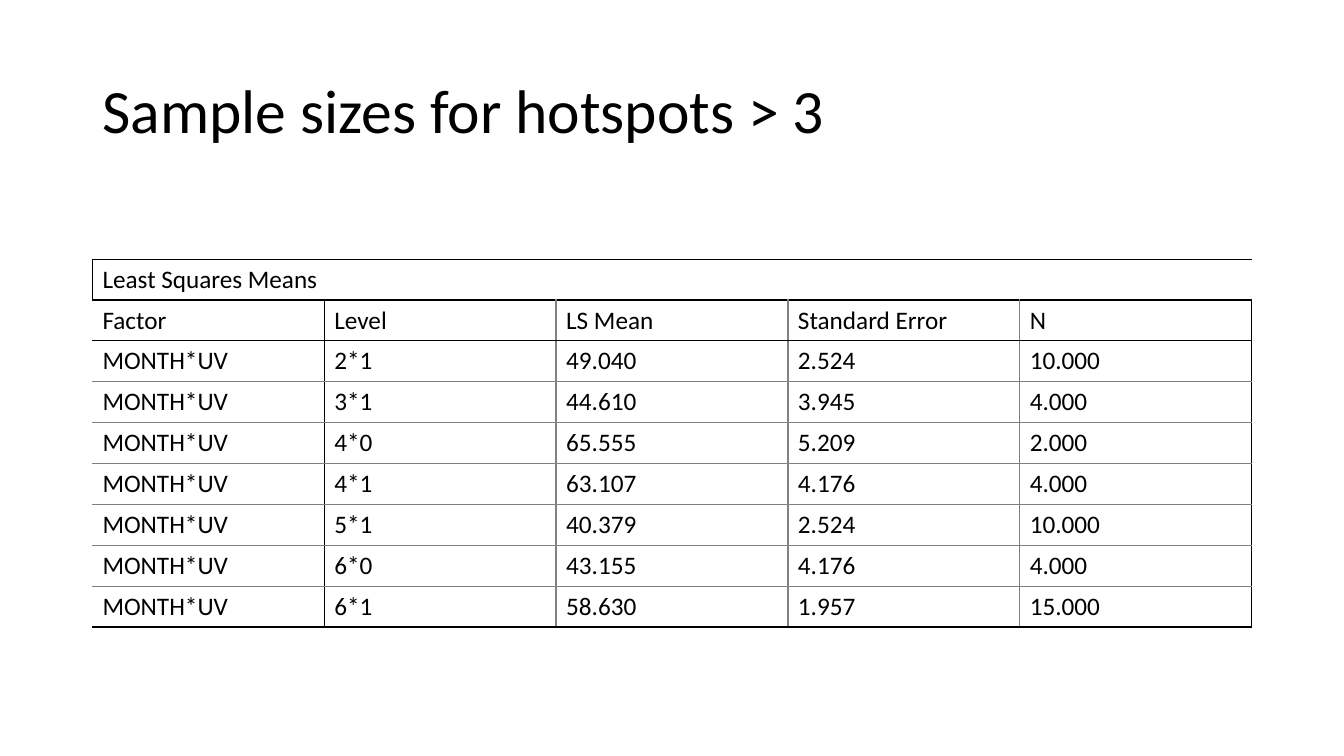
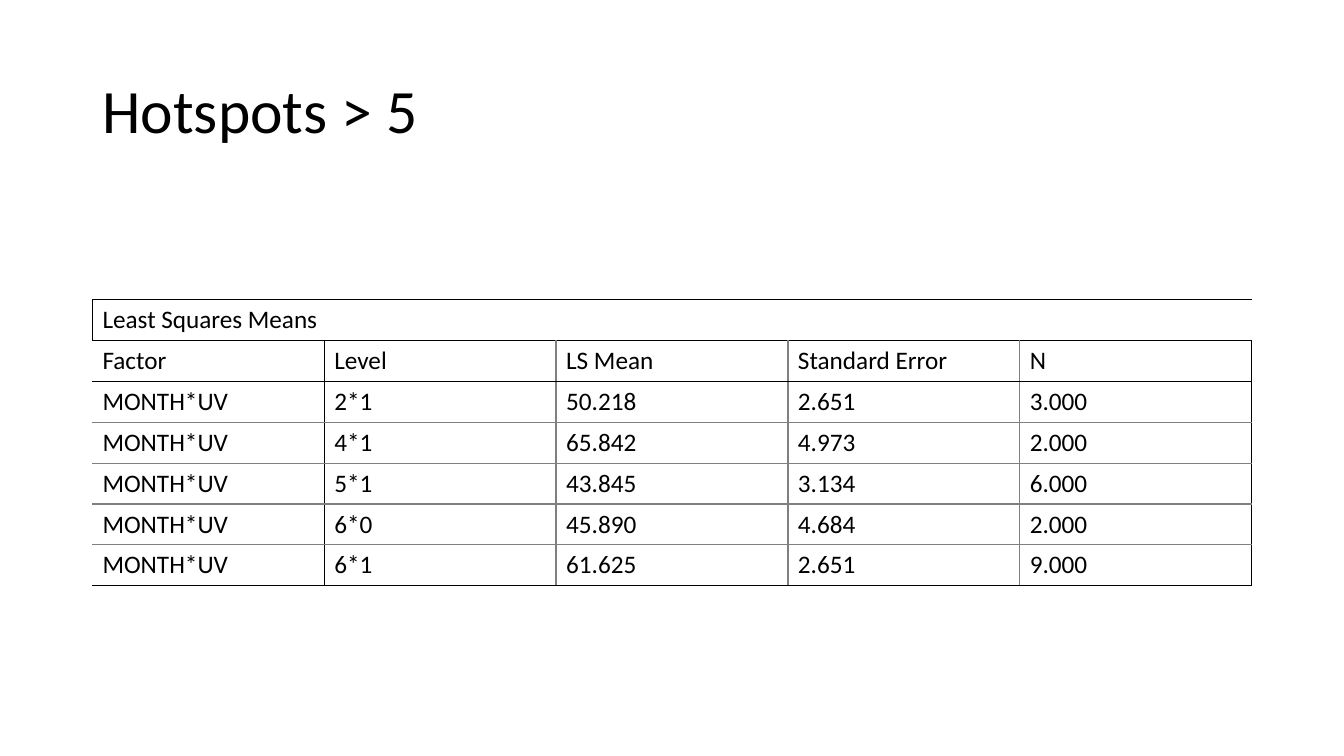
import dataclasses

import lxml.etree
import pptx
import pptx.dml.color
import pptx.enum.text
import pptx.oxml.ns
import pptx.util

Cm = pptx.util.Cm
qn = pptx.oxml.ns.qn


@dataclasses.dataclass(frozen=True)
class Theme:
    """Colours, type sizes and table styling shared by the slides."""
    font: str = "Calibri"
    ink: str = "000000"
    grid: str = "808080"
    title_size: int = 44
    table_size: int = 18
    border_width: int = 1
    plain_table: str = "{2D5ABB26-0587-4C30-8999-92F81FD0307C}"


THEME = Theme()
LEFT, CONTENT_WIDTH = 2.33, 29.21
TABLE_CENTRE, ROW_HEIGHT = 11.12, 1.02
CAPTION = "Least Squares Means"
HEADINGS = ("Factor", "Level", "LS Mean", "Standard Error", "N")
FACTOR = "MONTH*UV"


def write(frame, text, size, spacing=None):
    """Write one left-aligned, vertically centred paragraph into a text frame."""
    frame.vertical_anchor = pptx.enum.text.MSO_ANCHOR.MIDDLE
    paragraph = frame.paragraphs[0]
    paragraph.alignment = pptx.enum.text.PP_ALIGN.LEFT
    paragraph.line_spacing = spacing
    run = paragraph.add_run()
    run.text = text
    run.font.name = THEME.font
    run.font.size = pptx.util.Pt(size)
    run.font.color.rgb = pptx.dml.color.RGBColor.from_string(THEME.ink)


def caption_borders(column, last_column):
    """Return the border colours of a caption cell, open towards the headings."""
    sides = {"T": THEME.ink}
    if column == 0:
        sides.update(L=THEME.ink, B=THEME.ink)
    if column == last_column:
        sides["R"] = THEME.ink
    return sides


def grid_borders(row, column, last_row, last_column):
    """Return the border colours of a heading or data cell."""
    sides = {
        "R": THEME.ink if column in (0, last_column) else THEME.grid,
        "B": THEME.ink if row in (1, last_row) else THEME.grid,
    }
    if column > 0:
        sides["L"] = THEME.ink if column == 1 else THEME.grid
    if row > 1:
        sides["T"] = THEME.ink if row == 2 else THEME.grid
    return sides


def draw_borders(cell, sides):
    """Draw the given sides of a cell, in the order the schema asks for."""
    properties = cell._tc.get_or_add_tcPr()
    drawn = [side for side in "LRTB" if side in sides]
    for position, side in enumerate(drawn):
        line = lxml.etree.Element(qn(f"a:ln{side}"))
        line.set("w", str(pptx.util.Pt(THEME.border_width)))
        solid = lxml.etree.SubElement(line, qn("a:solidFill"))
        lxml.etree.SubElement(solid, qn("a:srgbClr")).set("val", sides[side])
        properties.insert(position, line)


class Deck:
    """Holds the presentation and the slide being built."""

    def __init__(self):
        """Start a widescreen presentation."""
        self.presentation = pptx.Presentation()
        self.presentation.slide_width = Cm(33.87)
        self.presentation.slide_height = Cm(19.05)
        self.slide = None

    def add_slide(self, heading):
        """Add a slide and fill its title placeholder."""
        layout = self.presentation.slide_layouts.get_by_name("Title Only")
        self.slide = self.presentation.slides.add_slide(layout)
        title = self.slide.shapes.title
        title.left, title.top = Cm(LEFT), Cm(1.01)
        title.width, title.height = Cm(CONTENT_WIDTH), Cm(3.68)
        title.text_frame.auto_size = pptx.enum.text.MSO_AUTO_SIZE.NONE
        write(title.text_frame, heading, THEME.title_size, spacing=0.9)

    def add_means_table(self, means):
        """Add the captioned table of means, centred on a fixed height."""
        rows = [(CAPTION,), HEADINGS] + [(FACTOR, *mean) for mean in means]
        last_row, last_column = len(rows) - 1, len(HEADINGS) - 1
        height = len(rows) * ROW_HEIGHT
        table = self.slide.shapes.add_table(
            len(rows), len(HEADINGS), Cm(LEFT), Cm(TABLE_CENTRE - height / 2),
            Cm(CONTENT_WIDTH), Cm(height)).table
        table.first_row = table.horz_banding = False
        table._tbl.tblPr.find(qn("a:tableStyleId")).text = THEME.plain_table
        table.cell(0, 0).merge(table.cell(0, last_column))
        for row, values in enumerate(rows):
            for column in range(len(HEADINGS)):
                cell = table.cell(row, column)
                cell.fill.background()
                if row == 0:
                    sides = caption_borders(column, last_column)
                else:
                    sides = grid_borders(row, column, last_row, last_column)
                draw_borders(cell, sides)
                if column < len(values):
                    cell.vertical_anchor = pptx.enum.text.MSO_ANCHOR.MIDDLE
                    write(cell.text_frame, values[column], THEME.table_size)


MEANS_BY_SLIDE = {
    "Sample sizes for hotspots > 3": [
        ("2*1", "49.040", "2.524", "10.000"),
        ("3*1", "44.610", "3.945", "4.000"),
        ("4*0", "65.555", "5.209", "2.000"),
        ("4*1", "63.107", "4.176", "4.000"),
        ("5*1", "40.379", "2.524", "10.000"),
        ("6*0", "43.155", "4.176", "4.000"),
        ("6*1", "58.630", "1.957", "15.000"),
    ],
    "Hotspots > 5": [
        ("2*1", "50.218", "2.651", "3.000"),
        ("4*1", "65.842", "4.973", "2.000"),
        ("5*1", "43.845", "3.134", "6.000"),
        ("6*0", "45.890", "4.684", "2.000"),
        ("6*1", "61.625", "2.651", "9.000"),
    ],
}


def main():
    """Build one slide for each hotspot threshold and save the deck."""
    deck = Deck()
    for heading, means in MEANS_BY_SLIDE.items():
        deck.add_slide(heading)
        deck.add_means_table(means)
    deck.presentation.save("out.pptx")


main()
